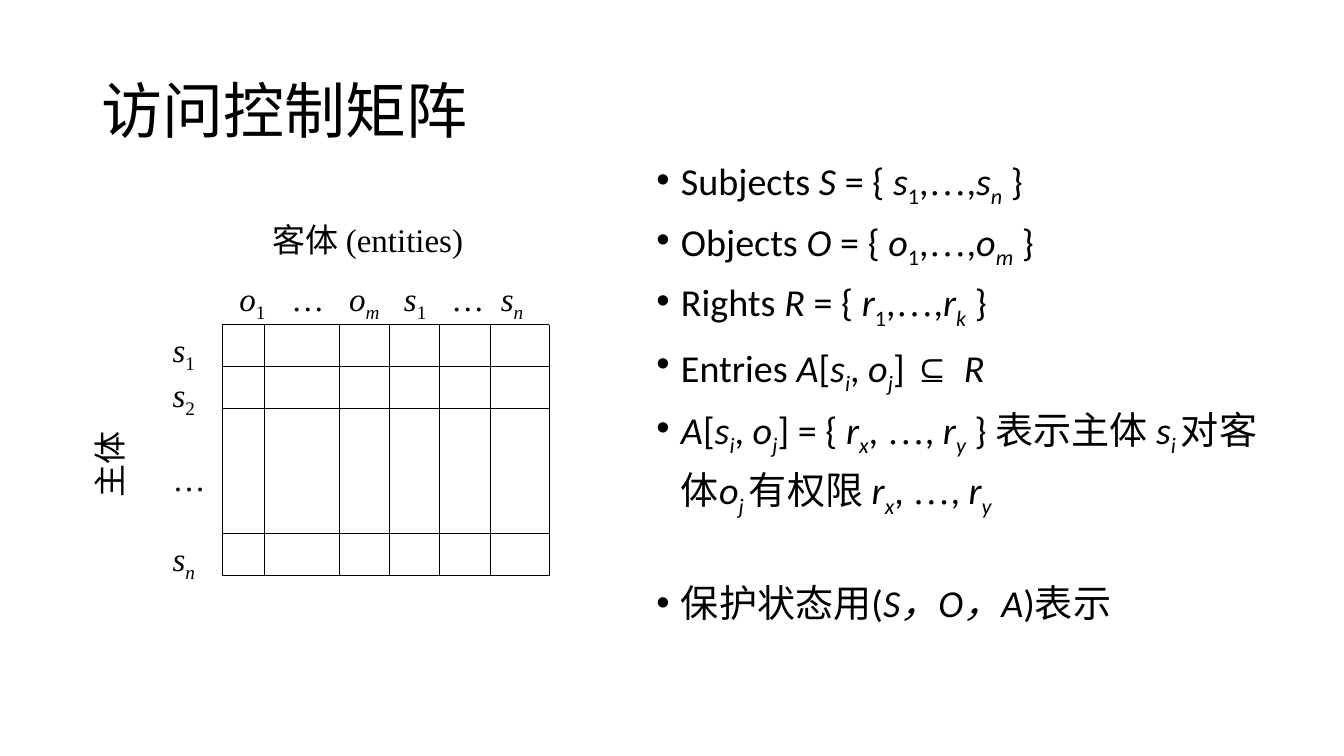
from itertools import groupby

from lxml.etree import SubElement
from pptx import Presentation
from pptx.dml.color import RGBColor
from pptx.enum.shapes import MSO_CONNECTOR
from pptx.enum.text import MSO_ANCHOR
from pptx.oxml.ns import qn
from pptx.util import Inches, Pt

MARKS = {"*": "italic", "~": "subscript", "^": "large"}
SYMBOL_FONTS = {"…": "Times New Roman", "⊆": "Arial"}


def color(value):
    return RGBColor.from_string(value)


def styled_parts(markup, font_name):
    active = set()
    characters = []
    for character in markup:
        if character in MARKS:
            active ^= {MARKS[character]}
        else:
            name = "Arial" if "large" in active else SYMBOL_FONTS.get(character, font_name)
            characters.append((character, (name, frozenset(active))))
    for (name, marks), group in groupby(characters, key=lambda item: item[1]):
        yield "".join(character for character, style in group), name, marks


class MatrixSlide:
    ink = "000000"
    body_font = "Calibri"
    label_font = "Times New Roman"
    label_size = 26
    large_size = 35

    def __init__(self, presentation):
        self.slide = presentation.slides.add_slide(presentation.slide_layouts[6])

    def text_box(self, left, top, width, height, anchor=MSO_ANCHOR.TOP):
        shape = self.slide.shapes.add_textbox(
            Inches(left), Inches(top), Inches(width), Inches(height))
        shape.text_frame.word_wrap = True
        shape.text_frame.vertical_anchor = anchor
        return shape

    def paragraph(self, shape, markup, size, font_name, space_before=0, line_spacing=1.0):
        text_frame = shape.text_frame
        first = text_frame.paragraphs[0]
        paragraph = text_frame.add_paragraph() if first.runs else first
        paragraph.line_spacing = line_spacing
        paragraph.space_before = Pt(space_before)
        for text, name, marks in styled_parts(markup, font_name):
            run = paragraph.add_run()
            run.text = text
            run.font.name = name
            run.font.size = Pt(self.large_size if "large" in marks else size)
            run.font.color.rgb = color(self.ink)
            run.font.italic = "italic" in marks
            if "subscript" in marks:
                run.font._element.set("baseline", "-25000")
        return paragraph

    def title(self, text):
        shape = self.text_box(1.01, 0.44, 12.68, 1.6, MSO_ANCHOR.MIDDLE)
        self.paragraph(shape, text, 48, self.body_font, line_spacing=0.9)

    def bullet_list(self, items):
        shape = self.text_box(7.08, 1.68, 7.09, 6.7)
        for markup, bullet, space_before in items:
            paragraph = self.paragraph(
                shape, markup, 30, self.body_font, space_before, 0.9)
            properties = paragraph._p.get_or_add_pPr()
            properties.set("marL", str(Inches(0.27)))
            properties.set("indent", str(Inches(-0.27 if bullet else 0)))
            if bullet:
                SubElement(properties, qn("a:buFont")).set("typeface", "Arial")
                SubElement(properties, qn("a:buChar")).set("char", "•")
            else:
                SubElement(properties, qn("a:buNone"))

    def label(self, markup, left, top, width, height, rotation=0):
        shape = self.text_box(left, top, width, height)
        shape.rotation = rotation
        self.paragraph(shape, markup, self.label_size, self.label_font)

    def row_labels(self, rows):
        shape = self.text_box(1.79, 3.55, 0.6, 2.88)
        for markup, space_before in rows:
            self.paragraph(shape, markup, self.label_size, self.label_font, space_before)

    def column_labels(self, labels, stops):
        shape = self.text_box(2.52, 3, 3.5, 0.6)
        paragraph = self.paragraph(
            shape, "\t".join(labels), self.label_size, self.label_font)
        tab_list = SubElement(paragraph._p.get_or_add_pPr(), qn("a:tabLst"))
        for stop in stops:
            tab = SubElement(tab_list, qn("a:tab"))
            tab.set("pos", str(Inches(stop)))
            tab.set("algn", "l")

    def line(self, start_x, start_y, end_x, end_y):
        connector = self.slide.shapes.add_connector(
            MSO_CONNECTOR.STRAIGHT,
            Inches(start_x), Inches(start_y), Inches(end_x), Inches(end_y))
        connector.line.color.rgb = color(self.ink)
        connector.line.width = Pt(0.75)
        SubElement(connector._element.spPr, qn("a:effectLst"))

    def grid(self, columns, rows):
        for x in columns:
            self.line(x, rows[0], x, rows[-1])
        for y in rows:
            self.line(columns[0], y, columns[-1], y)


def main():
    presentation = Presentation()
    presentation.slide_width = Inches(14.7)
    presentation.slide_height = Inches(8.27)
    matrix = MatrixSlide(presentation)

    matrix.title("访问控制矩阵")
    matrix.bullet_list([
        ("Subjects *S* = { *s*~1~,…,*s~n~* }", True, 0),
        ("Objects *O* = { *o*~1~,…,*o~m~* }", True, 11),
        ("Rights *R* = { *r*~1~,…,*r~k~* }", True, 11),
        ("Entries *A*[*s~i~*, *o~j~*] ⊆^ ^*R*", True, 11),
        ("*A*[*s~i~*, *o~j~*] = { *r~x~*, …, *r~y~* } 表示主体 *s~i ~*对客", True, 11),
        ("体*o~j ~*有权限 *r~x~*, …, *r~y~*", False, 11),
        ("保护状态用(*S，O，A*)表示", True, 55),
    ])

    matrix.label("客体 (entities)", 2.88, 2.35, 2.8, 0.54)
    matrix.label("主体", 0.69, 4.76, 1.02, 0.54, rotation=270)
    matrix.row_labels([("*s*~1~", 0), ("*s*~2~", 0), ("…", 31), ("*s~n~*", 32)])
    matrix.column_labels(
        ["*o*~1~", "…", "*o~m~*", "*s*~1~", "…", "*s~n~*"],
        [0.57, 1.2, 1.8, 2.32, 2.86])
    matrix.grid(
        columns=[2.43, 2.89, 3.71, 4.26, 4.81, 5.37, 6.01],
        rows=[3.55, 4.01, 4.47, 5.84, 6.3])

    presentation.save("out.pptx")


if __name__ == "__main__":
    main()
